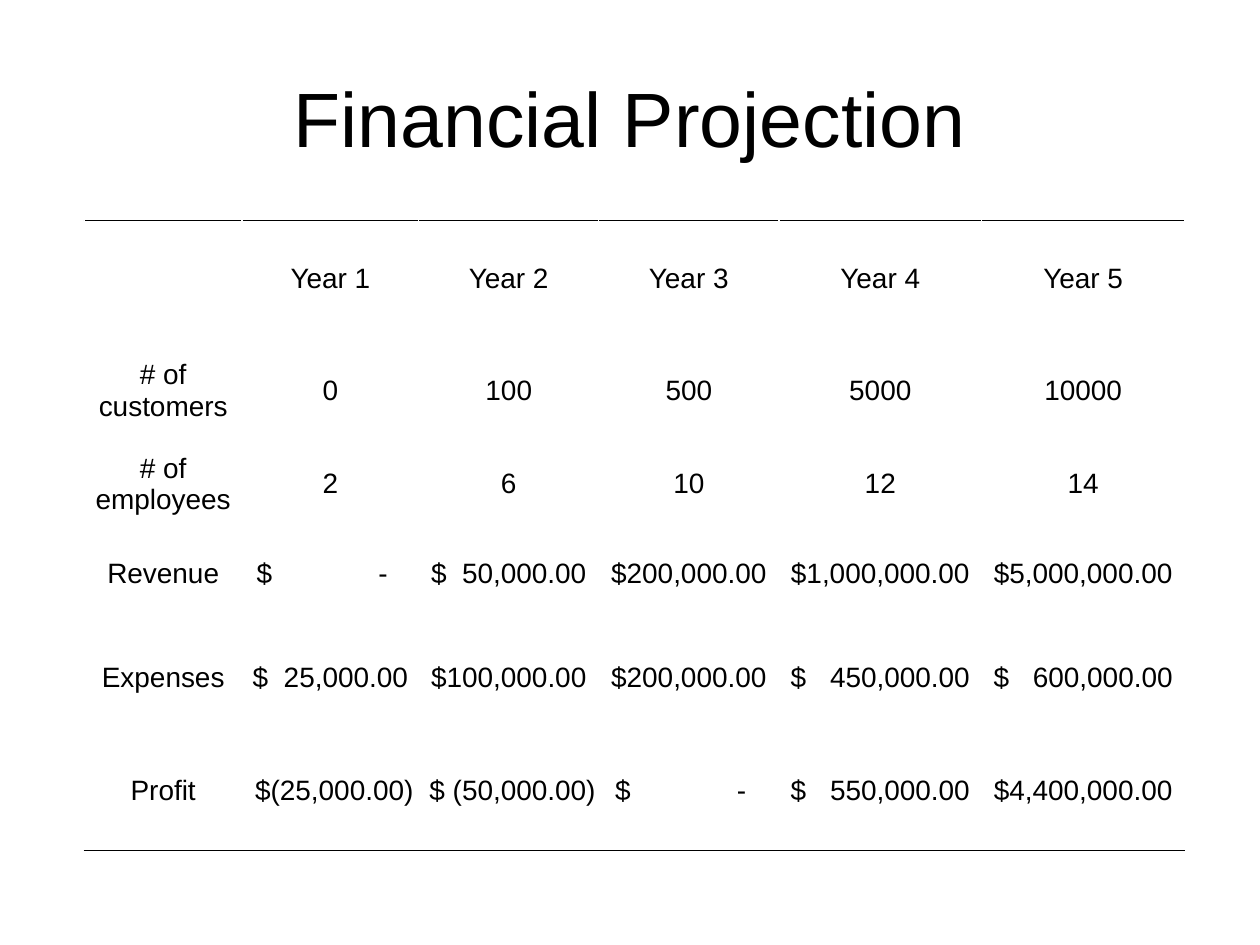
import pptx
import pptx.util
import pptx.dml.color
import pptx.enum.text
import pptx.oxml
import pptx.oxml.ns
from dataclasses import dataclass

Cm = pptx.util.Cm
Pt = pptx.util.Pt
ALIGN = pptx.enum.text.PP_ALIGN
MIDDLE = pptx.enum.text.MSO_ANCHOR.MIDDLE

HEADING = "Financial Projection"
PROJECTION = [
    ("", "Year 1", "Year 2", "Year 3", "Year 4", "Year 5"),
    ("# of customers", "0", "100", "500", "5000", "10000"),
    ("# of employees", "2", "6", "10", "12", "14"),
    ("Revenue", "$\t-", "$\t50,000.00", "$200,000.00", "$1,000,000.00", "$5,000,000.00"),
    ("Expenses", "$\t25,000.00", "$100,000.00", "$200,000.00", "$\t450,000.00", "$\t600,000.00"),
    ("Profit", " $(25,000.00)", " $ (50,000.00)", "$\t-", "$\t550,000.00", "$4,400,000.00"),
]
COLUMN_WIDTHS = (3.18, 3.56, 3.63, 3.63, 4.09, 4.09)
ROW_HEIGHTS = (2.31, 2.21, 1.55, 2.08, 2.11, 2.44)
AMOUNT_WIDTHS = {"-": 2.97, "50,000.00": 3.13, "25,000.00": 3.13}
WIDE_AMOUNT = 3.61
DASH_TRAIL = 0.33
CELL_INSET = 0.03


@dataclass(frozen=True)
class Theme:
    font: str = "Arial"
    ink: pptx.dml.color.RGBColor = pptx.dml.color.RGBColor(0, 0, 0)
    heading_size: int = 44
    body_size: int = 16
    rule_width: int = 1


THEME = Theme()


def style(paragraph, size, align=ALIGN.CENTER):
    paragraph.alignment = align
    paragraph.font.name = THEME.font
    paragraph.font.size = Pt(size)
    paragraph.font.color.rgb = THEME.ink


def rule(cell, edge):
    line = pptx.oxml.parse_xml(
        f'<a:{edge} {pptx.oxml.ns.nsdecls("a")} w="{Pt(THEME.rule_width)}">'
        f'<a:solidFill><a:srgbClr val="{THEME.ink}"/></a:solidFill></a:{edge}>'
    )
    cell._tc.get_or_add_tcPr().insert(0, line)


def spread_amount(cell, value, column_width):
    amount = value.split("\t")[1]
    span = AMOUNT_WIDTHS.get(amount, WIDE_AMOUNT)
    stop = span - DASH_TRAIL if amount == "-" else span
    cell.margin_left = Cm((column_width - span) / 2)
    tabs = pptx.oxml.parse_xml(
        f'<a:tabLst {pptx.oxml.ns.nsdecls("a")}><a:tab pos="{Cm(stop)}" algn="r"/></a:tabLst>'
    )
    cell.text_frame.paragraphs[0]._p.get_or_add_pPr().append(tabs)


def add_heading(slide):
    heading = slide.shapes.add_textbox(Cm(1.27), Cm(0.76), Cm(22.86), Cm(3.18))
    heading.text_frame.word_wrap = True
    heading.text_frame.vertical_anchor = MIDDLE
    heading.text_frame.text = HEADING
    style(heading.text_frame.paragraphs[0], THEME.heading_size)


def fill_cell(cell, value, column_width):
    cell.fill.background()
    cell.vertical_anchor = MIDDLE
    cell.margin_left = cell.margin_right = cell.margin_top = Cm(CELL_INSET)
    cell.margin_bottom = 0
    cell.text_frame.text = value
    spread = "\t" in value
    if spread:
        spread_amount(cell, value, column_width)
    style(cell.text_frame.paragraphs[0], THEME.body_size,
          ALIGN.LEFT if spread else ALIGN.CENTER)


def add_projection(slide):
    projection = slide.shapes.add_table(
        len(ROW_HEIGHTS), len(COLUMN_WIDTHS), Cm(1.7), Cm(4.45),
        Cm(sum(COLUMN_WIDTHS)), Cm(sum(ROW_HEIGHTS))).table
    projection.first_row = projection.horz_banding = False
    for column, width in zip(projection.columns, COLUMN_WIDTHS):
        column.width = Cm(width)
    for row, height, values in zip(projection.rows, ROW_HEIGHTS, PROJECTION):
        row.height = Cm(height)
        for cell, value, width in zip(row.cells, values, COLUMN_WIDTHS):
            fill_cell(cell, value, width)
    for column in range(len(COLUMN_WIDTHS)):
        rule(projection.cell(0, column), "lnT")
        rule(projection.cell(len(ROW_HEIGHTS) - 1, column), "lnB")


def main():
    deck = pptx.Presentation()
    deck.slide_width, deck.slide_height = Cm(25.4), Cm(19.05)
    slide = deck.slides.add_slide(deck.slide_layouts[6])
    add_heading(slide)
    add_projection(slide)
    deck.save("out.pptx")


if __name__ == "__main__":
    main()
